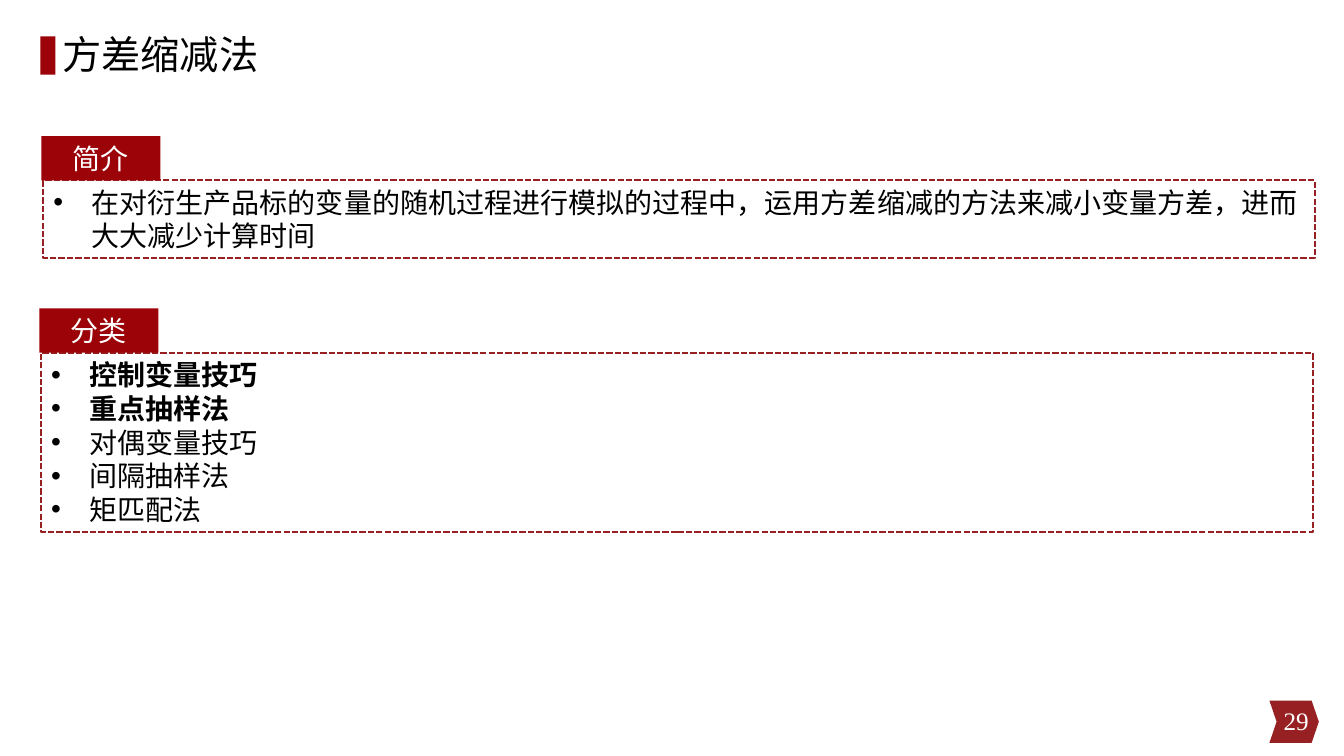
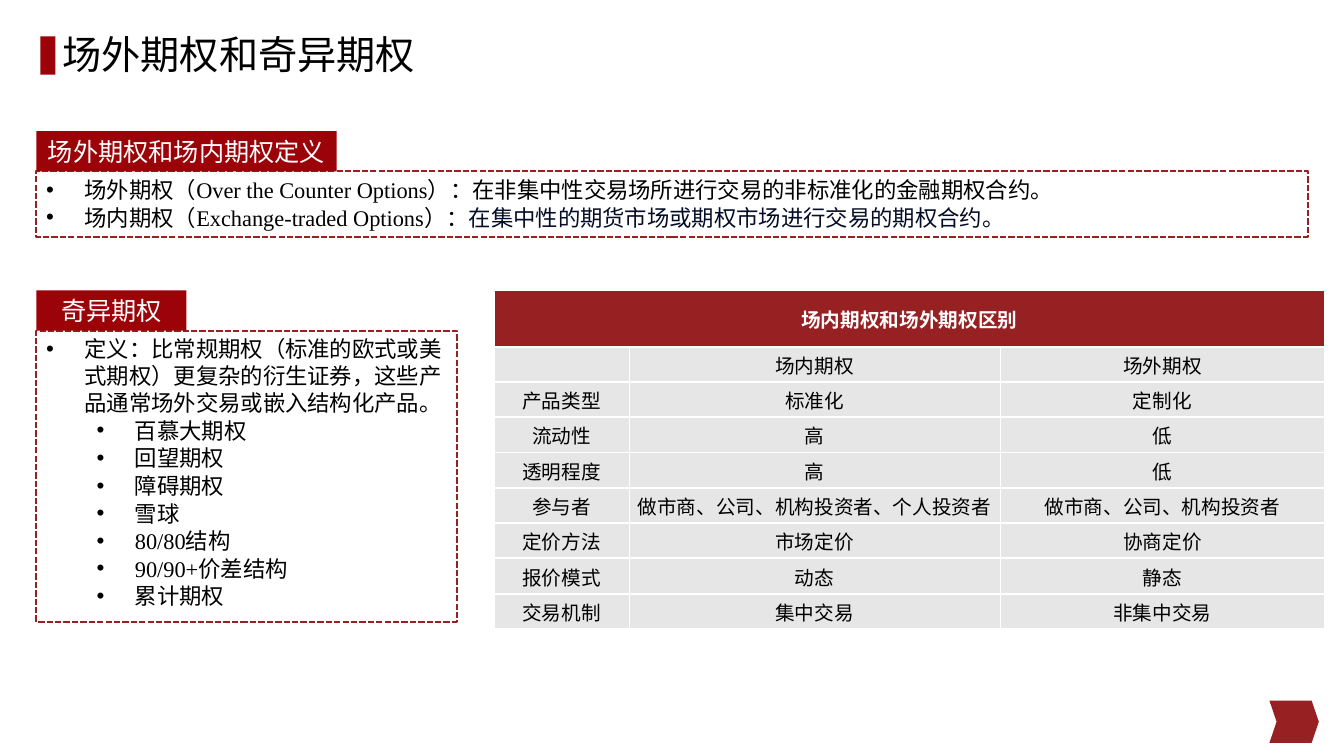
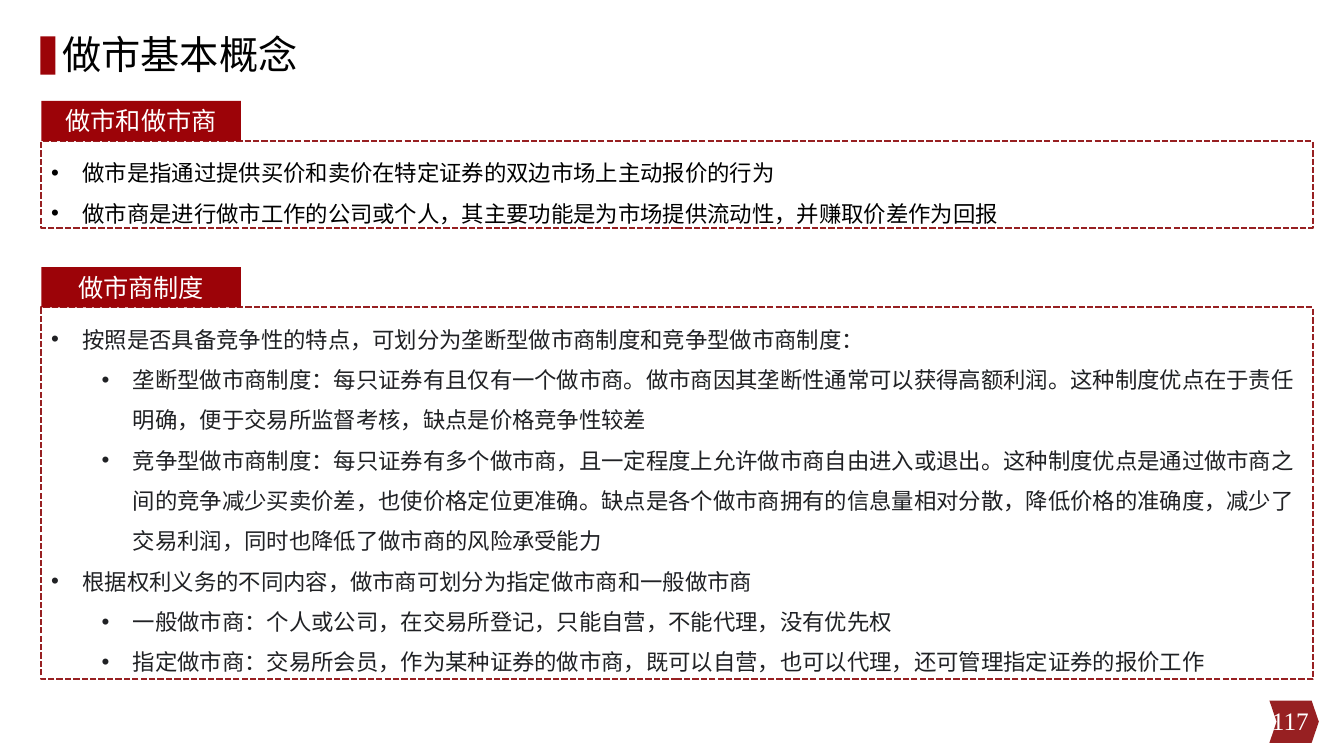
from lxml import etree
from pptx import Presentation
from pptx.dml.color import RGBColor
from pptx.enum.dml import MSO_LINE
from pptx.enum.shapes import MSO_SHAPE
from pptx.enum.text import MSO_ANCHOR, PP_ALIGN
from pptx.oxml.ns import qn
from pptx.util import Pt

PX = 9144  # 100 px to the inch
CRIMSON, BRICK, GREY = "9C0308", "972022", "E7E6E6"
BLACK, WHITE, INK, NAVY = "000000", "FFFFFF", "202124", "040C28"
SERIF, SANS, MONO = "Times New Roman", "Noto Sans CJK SC", "DejaVu Sans Mono"
LEVEL_STEP = 50
BOLD = {"bold": True}


def rgb(value):
    return RGBColor.from_string(value)


def write(paragraph, text, size=16, color=BLACK, font=SERIF, bold=False,
          align=None, spacing=None, after=None, hang=None, level=0):
    """Add one run to the paragraph; hang (px) makes it a bullet."""
    if hang:
        props = paragraph._p.get_or_add_pPr()
        props.set("marL", str((hang + level * LEVEL_STEP) * PX))
        props.set("indent", str(-hang * PX))
        etree.SubElement(props, qn("a:buFont"), typeface="Arial")
        etree.SubElement(props, qn("a:buChar"), char="•")
        paragraph.level = level
    if align is not None:
        paragraph.alignment = align
    if spacing:
        paragraph.line_spacing = spacing
    if after:
        paragraph.space_after = Pt(after)
    run = paragraph.add_run()
    run.text = text
    run.font.size = Pt(size)
    run.font.bold = bold
    run.font.name = font
    run.font.color.rgb = rgb(color)
    props = run._r.get_or_add_rPr()
    props.set("lang", "zh-CN")
    latin = props.find(qn("a:latin"))
    latin.addnext(etree.Element(qn("a:ea"), typeface=SANS))


# Each section: label, label rectangle, box rectangle, text formats, items.
# Each item: level, then runs; a run is text with its own format.
SLIDES = [
    ("方差缩减法", "29", [
        ("简介", (41, 135, 118, 44), (43, 179, 1261, 77),
         {"size": 20}, {"size": 20, "hang": 38, "spacing": Pt(24)}, [
             (0, ("在对衍生产品标的变量的随机过程进行模拟的过程中，运用方差缩减的方法来减小变量方差，进而大大减少计算时间", {})),
         ]),
        ("分类", (39, 306, 118, 44), (41, 350, 1261, 178),
         {"size": 20}, {"size": 20, "hang": 38, "spacing": Pt(24)}, [
             (0, ("控制变量技巧", BOLD)),
             (0, ("重点抽样法", BOLD)),
             (0, ("对偶变量技巧", {})),
             (0, ("间隔抽样法", {})),
             (0, ("矩匹配法", {})),
         ]),
    ]),
    ("场外期权和奇异期权", None, [
        ("场外期权和场内期权定义", (36, 130, 298, 40), (36, 170, 1261, 65),
         {"size": 18}, {"hang": 38, "spacing": Pt(19.2), "after": 0.5}, [
             (0, ("场外期权（Over the Counter Options）：在非集中性交易场所进行交易的非标准化的金融期权合约。", {})),
             (0, ("场内期权（Exchange-traded Options）：", {}),
              ("在集中性的期货市场或期权市场进行交易的期权合约。", {"font": "Cabin", "color": NAVY})),
         ]),
        ("奇异期权", (36, 288, 149, 40), (36, 328, 417, 289),
         {"size": 18}, {"hang": 38, "spacing": Pt(19.2), "after": 0.5}, [
             (0, ("定义：比常规期权（标准的欧式或美式期权）更复杂的衍生证券，这些产品通常场外交易或嵌入结构化产品。", {})),
             (1, ("百慕大期权", {})),
             (1, ("回望期权", {})),
             (1, ("障碍期权", {})),
             (1, ("雪球", {})),
             (1, ("80/80结构", {})),
             (1, ("90/90+价差结构", {})),
             (1, ("累计期权", {})),
         ]),
    ]),
    ("做市基本概念", "117", [
        ("做市和做市商", (41, 100, 198, 40), (41, 140, 1261, 86),
         {"size": 18}, {"hang": 31, "spacing": Pt(28.8)}, [
             (0, ("做市是指通过提供买价和卖价在特定证券的双边市场上主动报价的行为", {})),
             (0, ("做市商是进行做市工作的公司或个人，其主要功能是为市场提供流动性，并赚取价差作为回报", {})),
         ]),
        ("做市商制度", (41, 265, 198, 40), (41, 305, 1261, 369),
         {"size": 18}, {"hang": 31, "spacing": Pt(28.8), "font": MONO, "color": INK}, [
             (0, ("按照是否具备竞争性的特点，可划分为垄断型做市商制度和竞争型做市商制度：", {})),
             (1, ("垄断型做市商制度：每只证券有且仅有一个做市商。做市商因其垄断性通常可以获得高额利润。这种制度优点在于责任明确，便于交易所监督考核，缺点是价格竞争性较差", {})),
             (1, ("竞争型做市商制度：每只证券有多个做市商，且一定程度上允许做市商自由进入或退出。这种制度优点是通过做市商之间的竞争减少买卖价差，也使价格定位更准确。缺点是各个做市商拥有的信息量相对分散，降低价格的准确度，减少了交易利润，同时也降低了做市商的风险承受能力", {})),
             (0, ("根据权利义务的不同内容，做市商可划分为指定做市商和一般做市商", {})),
             (1, ("一般做市商：个人或公司，在交易所登记，只能自营，不能代理，没有优先权", {})),
             (1, ("指定做市商：交易所会员，作为某种证券的做市商，既可以自营，也可以代理，还可管理指定证券的报价工作", {})),
         ]),
    ]),
]

COMPARISON = [
    ("场内期权和场外期权区别", "", ""),
    ("", "场内期权", "场外期权"),
    ("产品类型", "标准化", "定制化"),
    ("流动性", "高", "低"),
    ("透明程度", "高", "低"),
    ("参与者", "做市商、公司、机构投资者、个人投资者", "做市商、公司、机构投资者"),
    ("定价方法", "市场定价", "协商定价"),
    ("报价模式", "动态", "静态"),
    ("交易机制", "集中交易", "非集中交易"),
]

prs = Presentation()
prs.slide_width, prs.slide_height = 1333 * PX, 750 * PX
title_only = prs.slide_layouts[5]

for number, (title_text, page, sections) in enumerate(SLIDES):
    slide = prs.slides.add_slide(title_only)

    # The page marker and title bar go into the layout, once for all slides
    if number == 0:
        for preset, place, color in (
                (MSO_SHAPE.CHEVRON, (1259, 695, 49, 42), BRICK),
                (MSO_SHAPE.RECTANGLE, (40, 36, 15, 38), CRIMSON)):
            mark = slide.shapes.add_shape(preset, *(v * PX for v in place))
            mark.shadow.inherit = False
            mark.fill.solid()
            mark.fill.fore_color.rgb = rgb(color)
            mark.line.fill.background()
            if preset == MSO_SHAPE.CHEVRON:
                mark.adjustments[0] = 0.17
            title_only.shapes.element.append(mark.element)

    title = slide.shapes.title
    title.left, title.top, title.width, title.height = (v * PX for v in (52, -2, 1131, 117))
    title.text_frame.vertical_anchor = MSO_ANCHOR.MIDDLE
    write(title.text_frame.paragraphs[0], title_text, size=28, font=SANS,
          align=PP_ALIGN.LEFT, spacing=0.9)

    for label_text, label_place, box_place, label_format, body_format, items in sections:
        box, label = (slide.shapes.add_shape(MSO_SHAPE.RECTANGLE, *(v * PX for v in place))
                      for place in (box_place, label_place))
        for panel in (box, label):
            panel.shadow.inherit = False
            panel.text_frame.word_wrap = True
            panel.text_frame.vertical_anchor = MSO_ANCHOR.TOP
        box.fill.background()
        box.line.color.rgb = rgb(BRICK)
        box.line.width = Pt(1.5)
        box.line.dash_style = MSO_LINE.SQUARE_DOT
        label.fill.solid()
        label.fill.fore_color.rgb = rgb(CRIMSON)
        label.line.fill.background()
        write(label.text_frame.paragraphs[0], label_text, color=WHITE, align=PP_ALIGN.CENTER,
              spacing=Pt(label_format["size"] * 1.2), **label_format)

        for index, (level, *runs) in enumerate(items):
            frame = box.text_frame
            paragraph = frame.add_paragraph() if index else frame.paragraphs[0]
            for position, (text, own_format) in enumerate(runs):
                run_format = {**body_format, **own_format}
                if position:
                    run_format["hang"] = None
                write(paragraph, text, align=PP_ALIGN.LEFT, level=level, **run_format)

    if page:
        page_number = slide.shapes.add_textbox(*(v * PX for v in (1008, 695, 300, 40)))
        page_number.text_frame.word_wrap = True
        page_number.text_frame.vertical_anchor = MSO_ANCHOR.MIDDLE
        write(page_number.text_frame.paragraphs[0], page, size=18, color=WHITE,
              align=PP_ALIGN.RIGHT)

# Comparison table on the second slide
comparison = prs.slides[1].shapes.add_table(
    len(COMPARISON), 3, *(v * PX for v in (490, 288, 824, 336))).table
for column, width in zip(comparison.columns, (134, 368, 322)):
    column.width = width * PX
for row_number, values in enumerate(COMPARISON):
    header = row_number == 0
    comparison.rows[row_number].height = (56 if header else 35) * PX
    for column_number, value in enumerate(values):
        cell = comparison.cell(row_number, column_number)
        cell.margin_left = cell.margin_right = cell.margin_top = PX
        cell.margin_bottom = 0
        cell.vertical_anchor = MSO_ANCHOR.MIDDLE
        for side, points in (("L", 1), ("R", 1), ("T", 1.5), ("B", 1.5)):
            border = etree.SubElement(cell._tc.get_or_add_tcPr(), qn("a:ln" + side),
                                      w=str(Pt(points)))
            paint = etree.SubElement(border, qn("a:solidFill"))
            etree.SubElement(paint, qn("a:srgbClr"), val=WHITE)
        cell.fill.solid()
        cell.fill.fore_color.rgb = rgb(BRICK if header else GREY)
        if value:
            write(cell.text_frame.paragraphs[0], value, size=14, font=SANS, bold=header,
                  color=WHITE if header else BLACK, align=PP_ALIGN.CENTER)
comparison.cell(0, 0).merge(comparison.cell(0, 2))

prs.save("out.pptx")
